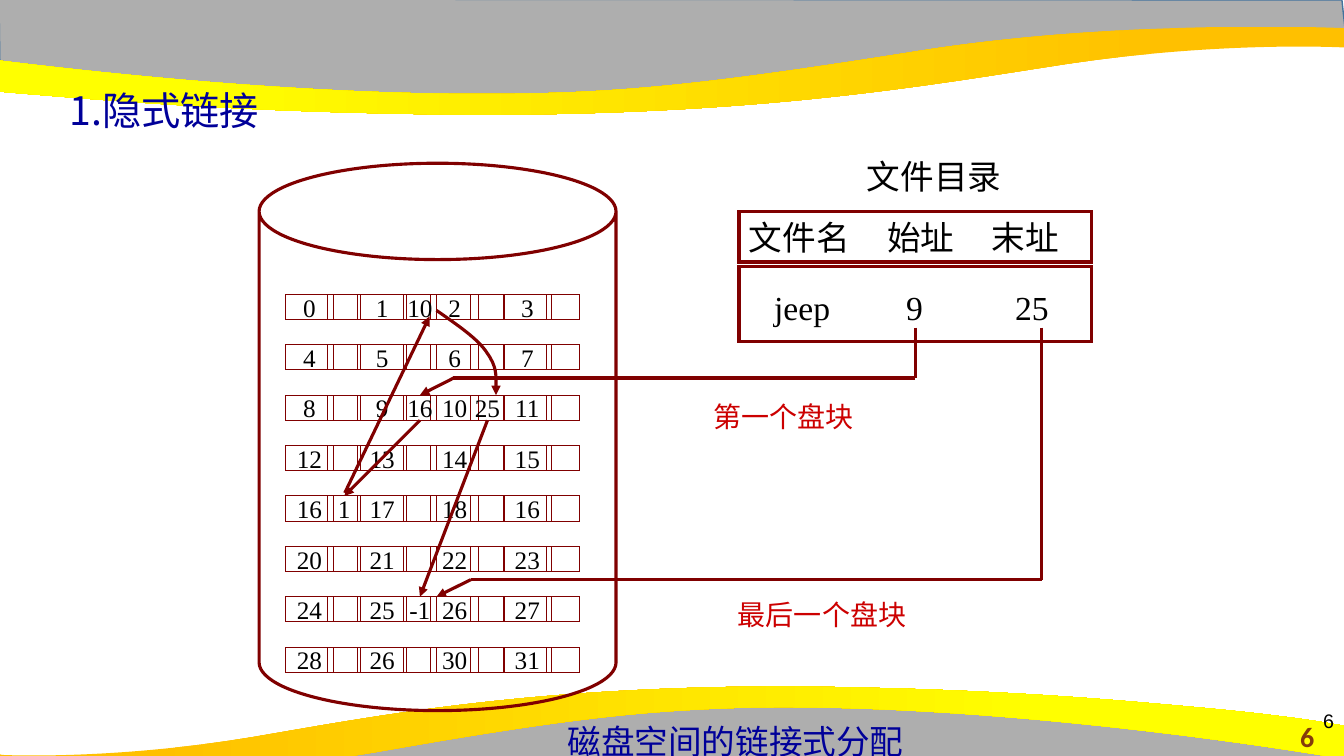
from pptx import Presentation
from pptx.dml.color import RGBColor
from pptx.enum.shapes import MSO_CONNECTOR, MSO_SHAPE
from pptx.enum.text import MSO_ANCHOR, MSO_AUTO_SIZE, PP_ALIGN
from pptx.oxml.ns import qn
from pptx.util import Inches, Pt
from lxml import etree

STRAIGHT = MSO_CONNECTOR.STRAIGHT
RECT, CAN = MSO_SHAPE.RECTANGLE, MSO_SHAPE.CAN
TOP, MIDDLE = MSO_ANCHOR.TOP, MSO_ANCHOR.MIDDLE
GROW, FIXED = MSO_AUTO_SIZE.SHAPE_TO_FIT_TEXT, MSO_AUTO_SIZE.NONE
LEFT, CENTER, RIGHT = PP_ALIGN.LEFT, PP_ALIGN.CENTER, PP_ALIGN.RIGHT
SIDE_TOP, SIDE_BOTTOM = 0, 2

BLACK = RGBColor(0x00, 0x00, 0x00)
MAROON = RGBColor(0x80, 0x00, 0x00)
NAVY = RGBColor(0x00, 0x00, 0x99)
RED = RGBColor(0xCC, 0x00, 0x00)
BROWN = RGBColor(0x84, 0x3C, 0x0B)
GRAY = RGBColor(0xAE, 0xAE, 0xAE)
STEEL = RGBColor(0x43, 0x73, 0x9E)
GOLD = RGBColor(0xFF, 0xC0, 0x00)
YELLOW = RGBColor(0xFF, 0xFF, 0x00)
SERIF, CJK = "Times New Roman", "Noto Sans CJK SC"


def write(tf, text, size=24, font=SERIF, color=BLACK, bold=False, align=LEFT,
          anchor=TOP, wrap=True, fit=GROW, tabs=()):
    """Fill a text frame with one formatted paragraph."""
    tf.word_wrap, tf.vertical_anchor, tf.auto_size = wrap, anchor, fit
    p = tf.paragraphs[0]
    p.alignment = align
    if tabs:
        tab_list = etree.SubElement(p._p.get_or_add_pPr(), qn("a:tabLst"))
        for pos in tabs:
            etree.SubElement(tab_list, qn("a:tab"), pos=str(Inches(pos)), algn="l")
    r = p.add_run()
    r.text = text
    r.font.size, r.font.bold, r.font.name = Pt(size), bold, font
    r.font.color.rgb = color
    etree.SubElement(r._r.get_or_add_rPr(), qn("a:ea"), typeface=CJK)


class Slide:
    def __init__(self, prs, line_color=MAROON, line_width=2.25):
        self.s = prs.slides.add_slide(prs.slide_layouts[6])
        self.line_color, self.line_width = line_color, line_width

    def outline(self, sp, width=None, arrow=False):
        sp.line.color.rgb = self.line_color
        sp.line.width = Pt(width or self.line_width)
        ln = sp.line._get_or_add_ln()
        etree.SubElement(ln, qn("a:miter"), lim="800000")
        if arrow:
            etree.SubElement(ln, qn("a:tailEnd"), type="triangle")

    def text(self, x, y, w, h, text, **fmt):
        sp = self.s.shapes.add_textbox(Inches(x), Inches(y), Inches(w), Inches(h))
        write(sp.text_frame, text, **fmt)

    def shape(self, kind, x, y, w, h, text=None, width=None, **fmt):
        sp = self.s.shapes.add_shape(kind, Inches(x), Inches(y), Inches(w), Inches(h))
        sp.shadow.inherit = False
        sp.fill.background()
        self.outline(sp, width)
        if text:
            write(sp.text_frame, text, **fmt)
        return sp

    def freeform(self, start, segments, close=True):
        """Outline of lines (x, y) and cubic curves (x1, y1, x2, y2, x, y)."""
        points = [(Inches(seg[i]), Inches(seg[i + 1]))
                  for seg in segments for i in range(0, len(seg), 2)]
        builder = self.s.shapes.build_freeform(Inches(start[0]), Inches(start[1]))
        builder.add_line_segments(points, close=close)
        sp = builder.convert_to_shape()
        sp.shadow.inherit = False
        steps = iter(list(sp._element.iter(qn("a:lnTo"))))
        for seg in segments:
            group = [next(steps) for _ in range(len(seg) // 2)]
            if len(group) == 3:
                bezier = etree.Element(qn("a:cubicBezTo"))
                group[0].addprevious(bezier)
                for step in group:
                    bezier.append(step[0])
                    step.getparent().remove(step)
        return sp

    def gray_band(self, start, *segments):
        sp = self.freeform(start, segments)
        sp.fill.solid()
        sp.fill.fore_color.rgb = GRAY
        sp.line.color.rgb = STEEL
        sp.line.width = Pt(1)

    def gold_wave(self, angle, start, *segments):
        sp = self.freeform(start, segments)
        sp.fill.gradient()
        sp.fill.gradient_angle = angle
        for stop, pos, color in zip(sp.fill.gradient_stops, (0.11, 0.78), (GOLD, YELLOW)):
            stop.position, stop.color.rgb = pos, color
        sp.line.fill.background()

    def arc_arrow(self, start, *segments):
        sp = self.freeform(start, segments, close=False)
        sp.fill.background()
        self.outline(sp, arrow=True)

    def line(self, start, end, arrow=False, begin=None, finish=None):
        cn = self.s.shapes.add_connector(STRAIGHT, *(Inches(v) for v in start + end))
        if begin:
            cn.begin_connect(*begin)
        if finish:
            cn.end_connect(*finish)
        self.outline(cn, arrow=arrow)
        etree.SubElement(cn._element.spPr, qn("a:effectLst"))


def main():
    prs = Presentation()
    prs.slide_width, prs.slide_height = Inches(13.33), Inches(7.5)
    s = Slide(prs)

    # Decorative bands at the top and bottom
    s.gray_band((-0.01, -0.01), (0, 0.7), (2.93, 1.02), (5.59, 1), (7.95, 0.88),
                (10.16, 0.5), (12.38, 0.33), (13.35, 0.38), (13.31, 0))
    s.gold_wave(180, (4.83, 1.14), (4.43, 1.14, 4.01, 1.13, 3.56, 1.12),
                (2.06, 1.08, 1.1, 1, 0.36, 0.94), (-0.88, 0.84, -1.3, 0.75, -1.33, 0.75),
                (-1.33, 0.42), (-1.33, 0.42, 2.18, 0.98, 5.17, 0.93),
                (6.26, 0.91, 7.08, 0.83, 9.15, 0.5), (11.21, 0.18, 13.33, 0.28, 13.33, 0.28),
                (13.33, 0.47), (13.3, 0.47), (13.05, 0.46, 11.95, 0.43, 10.55, 0.64),
                (9.18, 0.85, 7.62, 1.13, 4.83, 1.14))
    s.gray_band((13.33, 7.94), (13.32, 7.24), (10.4, 6.91), (7.73, 6.93), (5.38, 7.06),
                (3.17, 7.43), (0.95, 7.6), (-0.03, 7.56), (0.01, 7.93))
    s.gold_wave(0, (7.72, 6.81), (8.09, 6.81, 8.47, 6.82, 8.88, 6.83),
                (10.25, 6.87, 11.12, 6.95, 11.79, 7.01), (12.92, 7.11, 13.3, 7.2, 13.33, 7.2),
                (13.33, 7.53), (13.33, 7.53, 10.14, 6.97, 7.42, 7.02),
                (6.42, 7.05, 5.67, 7.12, 3.8, 7.45), (1.92, 7.78, -0.01, 7.68, -0.01, 7.68),
                (-0.01, 7.48), (0.02, 7.49), (0.25, 7.5, 1.25, 7.52, 2.52, 7.31),
                (3.76, 7.1, 5.19, 6.82, 7.72, 6.81))

    # Page numbers
    s.text(12.6, 7.09, 0.73, 0.44, "6", size=20, font="Calibri", color=BROWN,
           bold=True, align=CENTER)
    s.text(10.33, 6.95, 3, 0.4, "6", size=14, font="Arial", align=RIGHT,
           anchor=MIDDLE, fit=FIXED)

    # Disk and file directory
    disk = s.shape(CAN, 2.57, 1.62, 3.54, 5.43)
    disk.adjustments[0] = 0.27
    s.shape(RECT, 7.33, 2.1, 3.5, 0.5, "文件名\t始址\t末址", tabs=(1.37, 2.41))
    s.shape(RECT, 7.33, 2.64, 3.5, 0.75)
    s.text(7.58, 2.8, 3.01, 0.5, "jeep\t9\t25", tabs=(1.31, 2.39))
    s.text(8.5, 1.5, 1.54, 0.5, "文件目录", wrap=False)

    # Disk blocks, then their pointer cells
    cell = dict(width=0.75, size=18, align=CENTER, anchor=MIDDLE, wrap=False, fit=FIXED)
    relabeled = {19: "16", 29: "26"}
    for n in range(32):
        row, col = divmod(n, 4)
        s.shape(RECT, 2.83 + 0.72 * col, 2.92 + 0.5 * row, 0.48, 0.25,
                relabeled.get(n, str(n)), **cell)
    next_block = {1: "10", 9: "16", 10: "25", 16: "1", 25: "-1"}
    pointers = {}
    for col, x in enumerate((3.25, 4, 4.67, 5.42)):
        for row in range(8):
            n = 4 * row + col
            pointers[n] = s.shape(RECT, x, 2.92 + 0.5 * row, 0.33, 0.25,
                                  next_block.get(n), **cell)

    # Path from the start address, through the chain of blocks
    s.line((9.08, 3.25), (9.08, 3.75))
    s.line((4.49, 3.75), (9.08, 3.75))
    s.line((4.5, 3.75), (4.17, 3.92), arrow=True, finish=(pointers[9], SIDE_TOP))
    s.line((4.17, 4.17), (3.42, 4.92), arrow=True,
           begin=(pointers[9], SIDE_BOTTOM), finish=(pointers[16], SIDE_TOP))
    s.line((3.42, 4.89), (4.26, 3.14), arrow=True)
    s.arc_arrow((4.33, 3.08), (4.53, 3.22, 4.74, 3.36, 4.83, 3.5),
                (4.93, 3.64, 4.92, 3.78, 4.92, 3.92))
    s.line((4.83, 4.17), (4.17, 5.92), arrow=True,
           begin=(pointers[10], SIDE_BOTTOM), finish=(pointers[25], SIDE_TOP))

    # Path from the end address
    s.line((10.33, 3.25), (10.33, 5.75))
    s.line((4.67, 5.75), (10.33, 5.75))
    s.line((4.67, 5.75), (4.33, 5.92), arrow=True)

    # Title, caption and labels
    s.text(0.59, 0.81, 2.24, 0.57, "1.隐式链接", size=28, font=CJK, color=NAVY, wrap=False)
    s.text(5.53, 7.1, 3.55, 0.5, "磁盘空间的链接式分配", color=NAVY, wrap=False)
    s.text(6.98, 3.91, 2.68, 0.43, "第一个盘块", size=20, color=RED)
    s.text(7.22, 5.88, 2.68, 0.43, "最后一个盘块", size=20, color=RED)

    prs.save("out.pptx")


if __name__ == "__main__":
    main()
